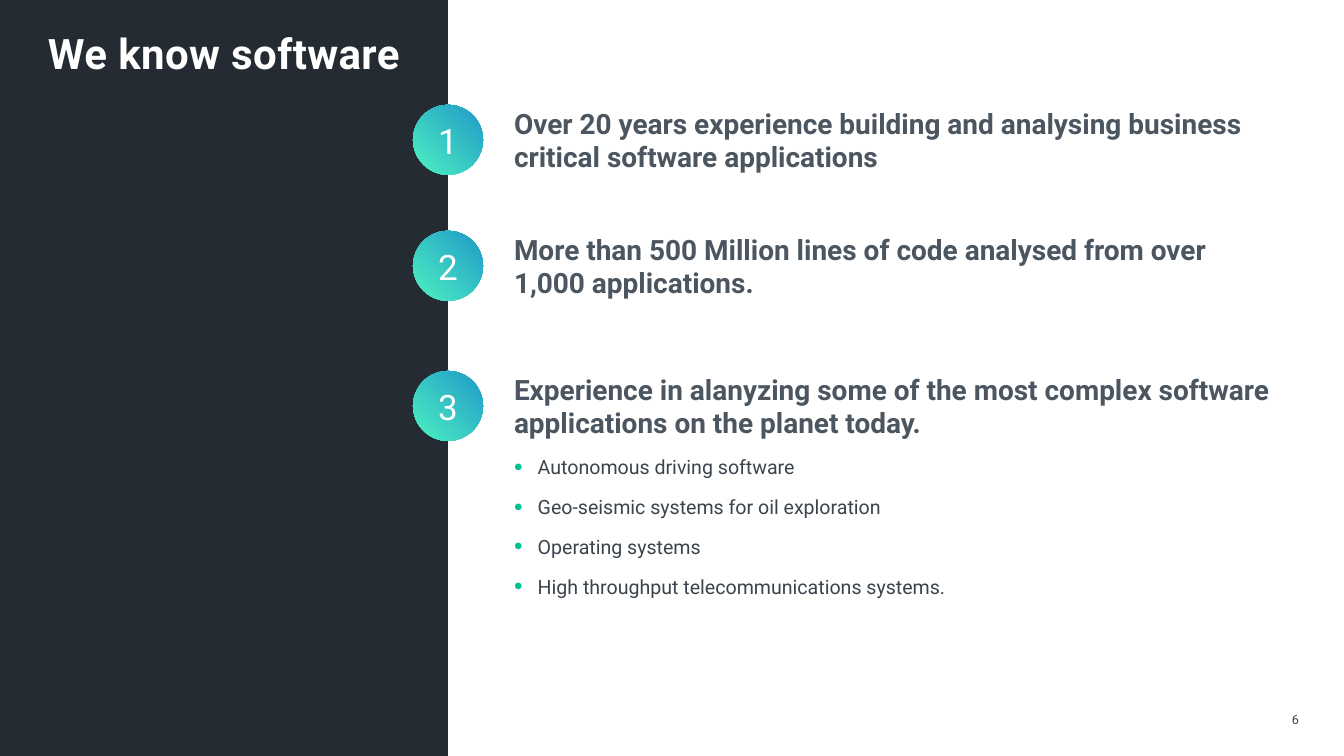
from lxml import etree
from pptx import Presentation
from pptx.dml.color import RGBColor
from pptx.enum.shapes import MSO_SHAPE
from pptx.enum.text import MSO_ANCHOR, MSO_AUTO_SIZE, PP_ALIGN
from pptx.oxml.ns import qn
from pptx.util import Inches, Pt

RECTANGLE, OVAL = MSO_SHAPE.RECTANGLE, MSO_SHAPE.OVAL
TOP, MIDDLE = MSO_ANCHOR.TOP, MSO_ANCHOR.MIDDLE
LEFT, CENTER = PP_ALIGN.LEFT, PP_ALIGN.CENTER
FIXED, GROW = MSO_AUTO_SIZE.NONE, MSO_AUTO_SIZE.SHAPE_TO_FIT_TEXT

WHITE = RGBColor(0xFF, 0xFF, 0xFF)
PANEL_DARK = RGBColor(0x24, 0x2B, 0x32)
HEADING_GREY = RGBColor(0x4B, 0x56, 0x60)
TEXT_GREY = RGBColor(0x3B, 0x44, 0x4D)
BULLET_GREEN = RGBColor(0x02, 0xC3, 0x8F)
BADGE_GREEN = RGBColor(0x4D, 0xF3, 0xC2)
BADGE_BLUE = RGBColor(0x20, 0x98, 0xC7)

PANEL_WIDTH = 8.89
BADGE_SIZE = 1.39
BADGE_LEFT = PANEL_WIDTH - BADGE_SIZE / 2
CLAIMS = [
    (2.08, "Over 20 years experience building and analysing business critical software applications"),
    (4.58, "More than 500 Million lines of code analysed from over 1,000 applications."),
    (7.36, "Experience in alanyzing some of the most complex software applications on the planet today."),
]
EXAMPLES = [
    "Autonomous driving software",
    "Geo-seismic systems for oil exploration",
    "Operating systems",
    "High throughput telecommunications systems.",
]


def write(box, text, *, size, color, bold=False, align=LEFT, anchor=TOP, wrap=True,
          fit=GROW, tracking=0, line_spacing=None, space_before=0):
    """Fill a box with text, one paragraph per line, and format it."""
    frame = box.text_frame
    frame.text = text
    frame.word_wrap, frame.auto_size, frame.vertical_anchor = wrap, fit, anchor
    frame.margin_left = frame.margin_right = Inches(0.06)
    frame.margin_top = frame.margin_bottom = Inches(0.06)
    for para in frame.paragraphs:
        para.alignment = align
        para.line_spacing = line_spacing
        para.space_before = Pt(space_before)
        for span in para.runs:
            font = span.font
            font.name, font.size, font.bold = "Roboto", Pt(size), bold
            font.color.rgb = color
            if tracking:
                font._element.set("spc", str(round(tracking * 100)))


def add_bullet(para):
    props = para._p.get_or_add_pPr()
    props.set("marL", str(Inches(0.47)))
    props.set("indent", str(-Inches(0.47)))
    bullet_color = etree.SubElement(props, qn("a:buClr"))
    etree.SubElement(bullet_color, qn("a:srgbClr"), val=str(BULLET_GREEN))
    etree.SubElement(props, qn("a:buSzPct"), val="125000")
    etree.SubElement(props, qn("a:buChar"), char="•")


deck = Presentation()
deck.slide_width, deck.slide_height = Inches(26.67), Inches(15)
page = deck.slides.add_slide(deck.slide_layouts[1])
shapes = page.shapes
title, examples = shapes.title, page.placeholders[1]

# Dark side panel, sent behind the placeholders
panel = shapes.add_shape(RECTANGLE, 0, 0, Inches(PANEL_WIDTH), deck.slide_height)
panel.shadow.inherit = False
panel.fill.solid()
panel.fill.fore_color.rgb = PANEL_DARK
panel.line.fill.background()
title._element.addprevious(panel._element)

title.left, title.top = Inches(0.89), Inches(0.68)
title.width, title.height = Inches(7.11), Inches(2.41)
write(title, "We know software", size=60, color=WHITE, bold=True, fit=FIXED,
      tracking=0.6, line_spacing=0.8)

# Numbered claims
for number, (top, claim) in enumerate(CLAIMS, start=1):
    group = shapes.add_group_shape()
    badge = group.shapes.add_shape(OVAL, Inches(BADGE_LEFT), Inches(top),
                                   Inches(BADGE_SIZE), Inches(BADGE_SIZE))
    badge.shadow.inherit = False
    badge.line.fill.background()
    badge.fill.gradient()
    badge.fill.gradient_angle = 45
    for stop, color in zip(badge.fill.gradient_stops, (BADGE_GREEN, BADGE_BLUE)):
        stop.color.rgb = color

    digit = group.shapes.add_textbox(Inches(8.61), Inches(top + 0.26), Inches(0.56), Inches(0.88))
    write(digit, str(number), size=50, color=WHITE, align=CENTER, anchor=MIDDLE,
          wrap=False, tracking=3.3)

    heading = shapes.add_textbox(Inches(10.14), Inches(top + 0.01), Inches(15.28), Inches(1.37))
    write(heading, claim, size=40, color=HEADING_GREY, bold=True, anchor=MIDDLE)

# Examples under the last claim
examples.left, examples.top = Inches(10.14), Inches(8.92)
examples.width, examples.height = Inches(12.73), Inches(3.26)
write(examples, "\n".join(EXAMPLES), size=28, color=TEXT_GREY, fit=FIXED,
      line_spacing=1.1, space_before=20)
for para in examples.text_frame.paragraphs:
    add_bullet(para)

page_number = shapes.add_textbox(Inches(25.5), Inches(14.07), Inches(0.41), Inches(0.4))
write(page_number, "6", size=18, color=TEXT_GREY, align=CENTER, wrap=False)

deck.save("out.pptx")
